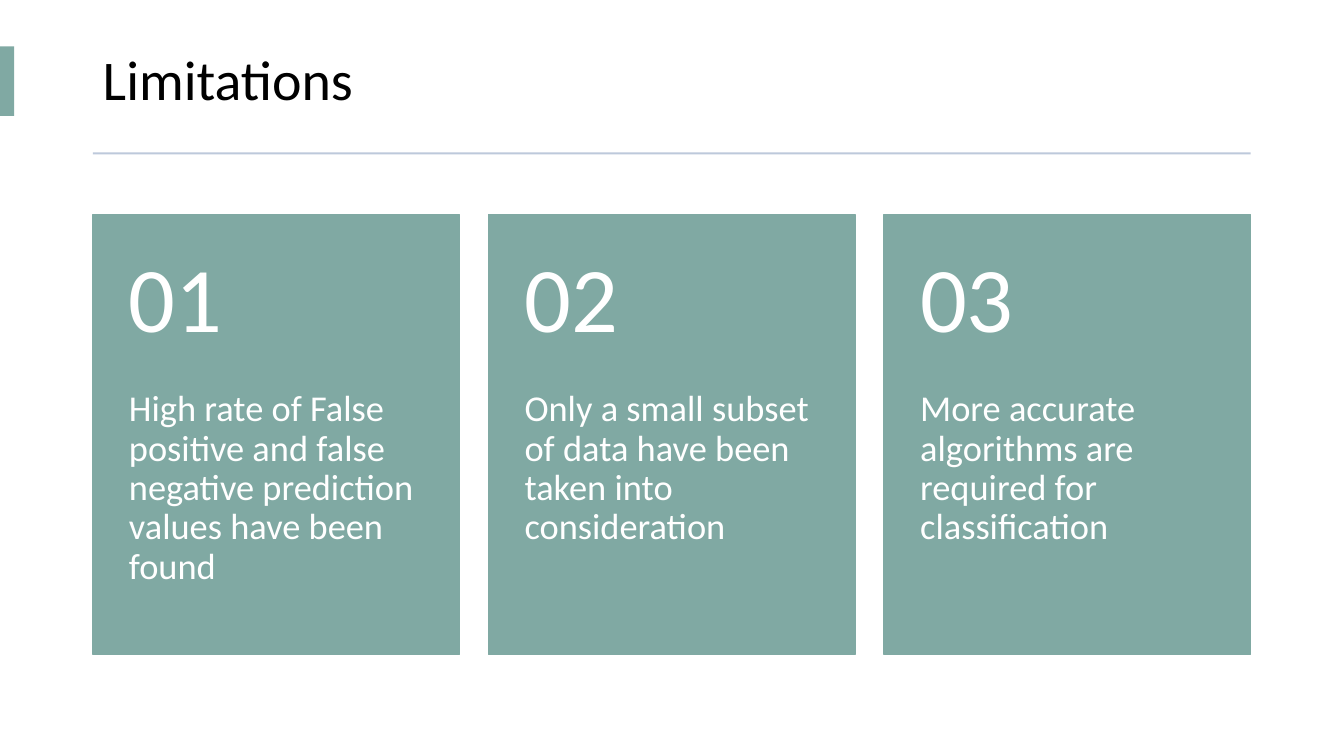
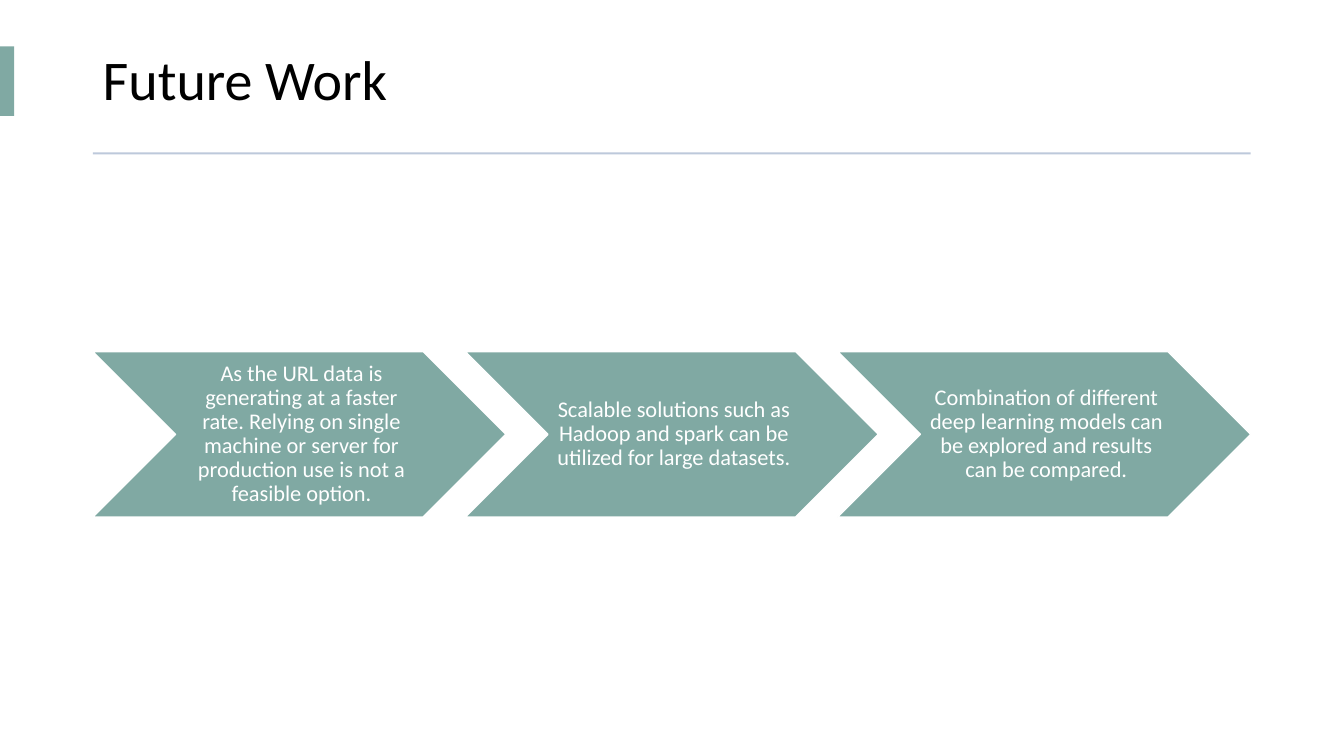
import pptx
import pptx.util
import pptx.dml.color
import pptx.enum.shapes
import pptx.enum.text

Cm = pptx.util.Cm
Pt = pptx.util.Pt
SHAPE = pptx.enum.shapes.MSO_SHAPE
ALIGN = pptx.enum.text.PP_ALIGN
ANCHOR = pptx.enum.text.MSO_ANCHOR


def rgb(value):
    return pptx.dml.color.RGBColor.from_string(value)


class Deck:
    FONT = "Calibri"
    GREEN = "80A9A3"
    RULE = "BDC9DB"
    WHITE = "FFFFFF"
    BLACK = "000000"
    LEFT = 2.34
    WIDTH = 29.18

    def __init__(self):
        self.prs = pptx.Presentation()
        self.prs.slide_width = Cm(33.87)
        self.prs.slide_height = Cm(19.05)
        self.s = None

    def slide(self, title):
        self.s = self.prs.slides.add_slide(self.prs.slide_layouts[6])
        self.text(title, self.LEFT, 0.69, self.WIDTH, 2.79, 40, self.BLACK)
        self.shape(SHAPE.RECTANGLE, 0, 1.17, 0.36, 1.75, self.GREEN)
        self.shape(SHAPE.RECTANGLE, self.LEFT, 3.84, self.WIDTH, 0.05, self.RULE)

    def shape(self, kind, x, y, w, h, fill, line=None):
        sp = self.s.shapes.add_shape(kind, Cm(x), Cm(y), Cm(w), Cm(h))
        sp.shadow.inherit = False
        sp.fill.solid()
        sp.fill.fore_color.rgb = rgb(fill)
        if line:
            sp.line.color.rgb = rgb(line)
            sp.line.width = Pt(1)
        else:
            sp.line.fill.background()
        return sp

    def text(self, text, x, y, w, h, size, color,
             insets=(0.25, 0.13, 0.25, 0.13), anchor=ANCHOR.MIDDLE):
        sp = self.s.shapes.add_textbox(Cm(x), Cm(y), Cm(w), Cm(h))
        self.label(sp, text, size, color, insets, anchor, ALIGN.LEFT)

    def label(self, sp, text, size, color, insets, anchor, align):
        tf = sp.text_frame
        tf.text = text
        tf.word_wrap = True
        tf.vertical_anchor = anchor
        tf.margin_left, tf.margin_top, tf.margin_right, tf.margin_bottom = map(Cm, insets)
        p = tf.paragraphs[0]
        p.alignment = align
        p.line_spacing = 0.9
        r = p.runs[0]
        r.font.name = self.FONT
        r.font.size = Pt(size)
        r.font.color.rgb = rgb(color)

    def columns(self, texts, w):
        pitch = (self.WIDTH - w) / (len(texts) - 1)
        for i, text in enumerate(texts):
            yield self.LEFT + i * pitch, text

    def cards(self, texts):
        y, w, h, head = 5.41, 9.24, 11.08, 4.43
        for i, (x, text) in enumerate(self.columns(texts, w), 1):
            self.shape(SHAPE.RECTANGLE, x, y, w, h, self.GREEN, self.GREEN)
            self.text(f"{i:02}", x, y, w, head, 66, self.WHITE,
                      (0.91, 0.46, 0.91, 0.46))
            self.text(text, x, y + head, w, h - head, 26, self.WHITE,
                      (0.91, 0, 0.91, 0.91), ANCHOR.TOP)

    def chevrons(self, texts):
        y, w, h = 8.86, 10.41, 4.17
        for x, text in self.columns(texts, w):
            sp = self.shape(SHAPE.CHEVRON, x, y, w, h, self.GREEN, self.WHITE)
            self.label(sp, text, 16, self.WHITE, (0.17, 0.06, 0.06, 0.06),
                       ANCHOR.MIDDLE, ALIGN.CENTER)


def main():
    deck = Deck()
    deck.slide("Limitations")
    deck.cards([
        "High rate of False positive and false negative prediction values have been found",
        "Only a small subset of data have been taken into consideration",
        "More accurate algorithms are required for classification",
    ])
    deck.slide("Future Work")
    deck.chevrons([
        "As the URL data is generating at a faster rate. Relying on single machine "
        "or server for production use is not a feasible option.",
        "Scalable solutions such as Hadoop and spark can be utilized for large datasets.",
        "Combination of different deep learning models can be explored and results "
        "can be compared.",
    ])
    deck.prs.save("out.pptx")


if __name__ == "__main__":
    main()
